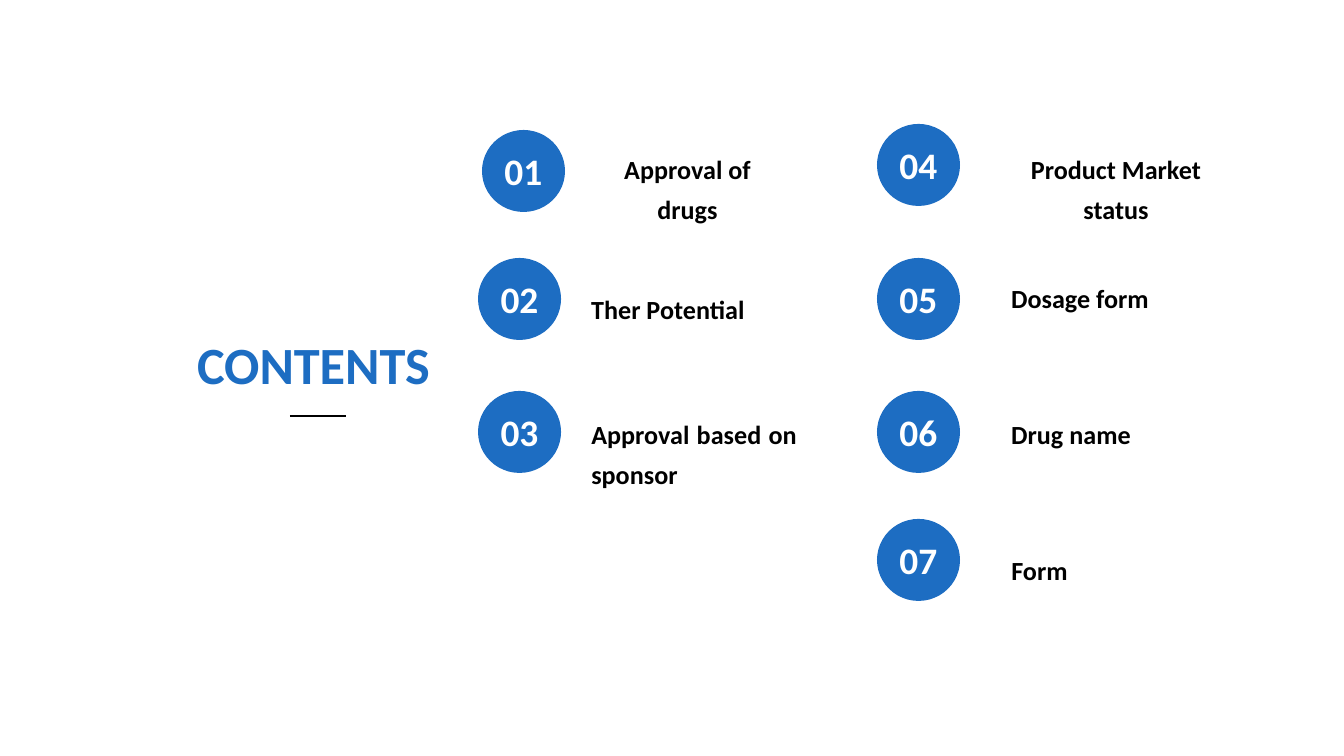
from dataclasses import dataclass

from pptx import Presentation
from pptx.dml.color import RGBColor
from pptx.enum.shapes import MSO_CONNECTOR as Connector, MSO_SHAPE as Shape
from pptx.enum.text import MSO_ANCHOR as Anchor, MSO_AUTO_SIZE as AutoSize, PP_ALIGN as Align
from pptx.oxml.ns import qn
from pptx.util import Pt
from lxml.etree import SubElement

TITLE = "CONTENTS"
ENTRIES = [
    ("Approval of\ndrugs", (482, 130), (578, 137, 219), Align.CENTER),
    ("Ther Potential", (478, 258), (578, 277, 180), Align.CENTER),
    ("Approval based on sponsor", (478, 391), (578, 402, 232), Align.JUSTIFY),
    ("Product Market\nstatus", (877, 124), (982, 137, 268), Align.CENTER),
    ("Dosage form", (877, 258), (998, 266, 164), Align.CENTER),
    ("Drug name", (877, 391), (998, 402, 146), Align.CENTER),
    ("Form", (877, 519), (998, 538, 83), Align.CENTER),
]
CIRCLE_SIZE = (83, 82)
LINE_HEIGHT = 55
TITLE_BOX = (164, 326, 299, 77)
RULE = (290, 416, 346, 416)


@dataclass(frozen=True)
class Theme:
    font: str = "Calibri"
    accent: RGBColor = RGBColor(0x1D, 0x6D, 0xC2)
    dark: RGBColor = RGBColor(0, 0, 0)
    light: RGBColor = RGBColor(0xFF, 0xFF, 0xFF)
    title_size: int = 28
    number_size: int = 20
    label_size: int = 14
    label_spacing: float = 1.3


THEME = Theme()


def px(*lengths):
    return [round(length * 914400 / 134.4) for length in lengths]


def write(shape, text, size, color, align=Align.CENTER, wrap=False, spacing=1.0, anchor=Anchor.MIDDLE):
    frame = shape.text_frame
    frame.word_wrap = wrap
    frame.auto_size = AutoSize.NONE
    frame.vertical_anchor = anchor
    paragraph = frame.paragraphs[0]
    paragraph.text = text
    paragraph.alignment = align
    paragraph.line_spacing = spacing
    font = paragraph.font
    font.name, font.size, font.bold = THEME.font, Pt(size), True
    font.color.rgb = color


def add_title(slide):
    title = slide.shapes.title
    title.left, title.top, title.width, title.height = px(*TITLE_BOX)
    write(title, TITLE, THEME.title_size, THEME.accent, anchor=Anchor.TOP)
    rule = slide.shapes.add_connector(Connector.STRAIGHT, *px(*RULE))
    rule.line.color.rgb = THEME.dark
    rule.line.width = Pt(1)
    SubElement(rule._element.spPr, qn("a:effectLst"))


def add_entry(slide, number, text, circle_at, label_at, align):
    circle = slide.shapes.add_shape(Shape.OVAL, *px(*circle_at, *CIRCLE_SIZE))
    circle.shadow.inherit = False
    circle.fill.solid()
    circle.fill.fore_color.rgb = THEME.accent
    circle.line.fill.background()
    write(circle, f"{number:02d}", THEME.number_size, THEME.light)

    wraps = align == Align.JUSTIFY
    height = LINE_HEIGHT + 40 * wraps
    label = slide.shapes.add_textbox(*px(*label_at, height))
    write(label, text, THEME.label_size, THEME.dark, align, wraps, THEME.label_spacing, Anchor.TOP)


def main():
    presentation = Presentation()
    presentation.slide_width, presentation.slide_height = px(1344, 756)
    slide = presentation.slides.add_slide(presentation.slide_layouts[5])
    add_title(slide)
    for number, entry in enumerate(ENTRIES, 1):
        add_entry(slide, number, *entry)
    presentation.save("out.pptx")


if __name__ == "__main__":
    main()
